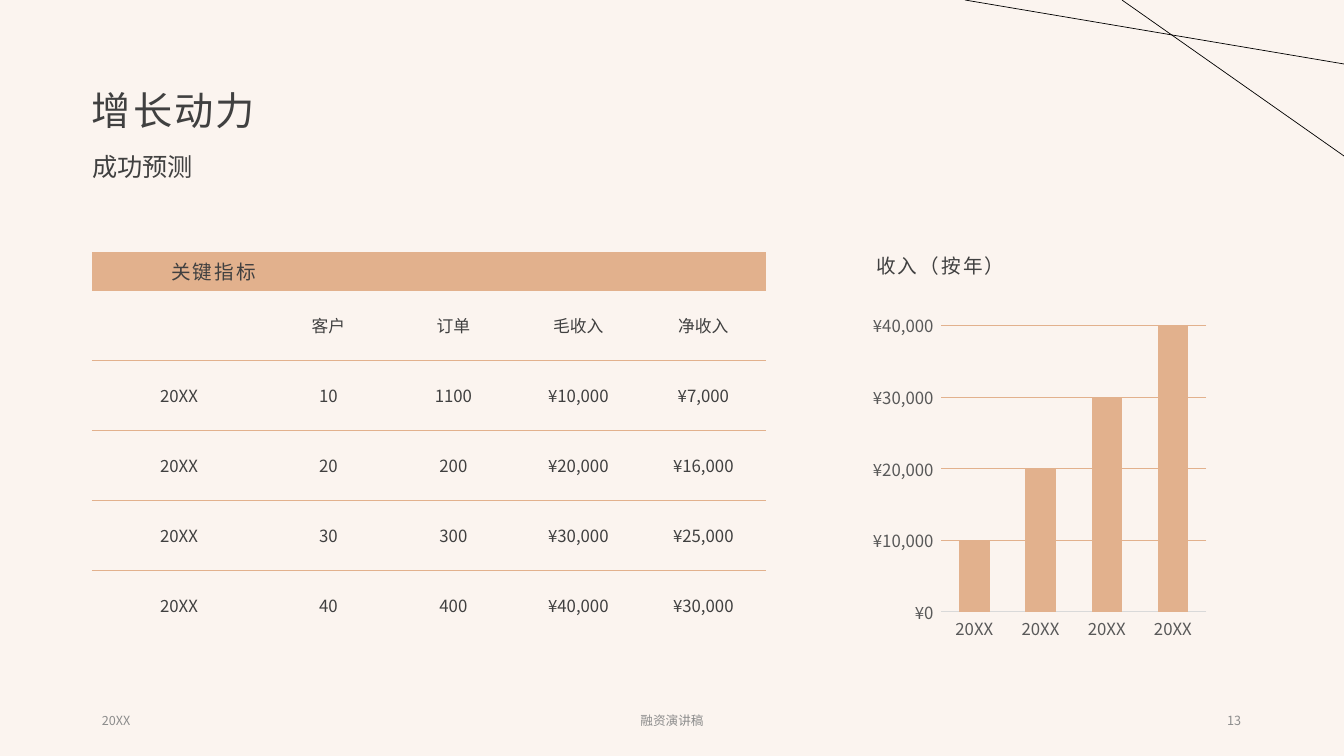
from dataclasses import dataclass

from lxml import etree
from pptx import Presentation
from pptx.chart.data import CategoryChartData
from pptx.dml.color import RGBColor
from pptx.enum.chart import XL_CHART_TYPE, XL_TICK_MARK
from pptx.enum.shapes import MSO_CONNECTOR
from pptx.enum.text import MSO_ANCHOR, MSO_AUTO_SIZE, PP_ALIGN
from pptx.oxml.ns import qn
from pptx.util import Emu, Pt

LEFT, CENTER, RIGHT = PP_ALIGN.LEFT, PP_ALIGN.CENTER, PP_ALIGN.RIGHT
TOP, MIDDLE = MSO_ANCHOR.TOP, MSO_ANCHOR.MIDDLE
NO_AUTOFIT = MSO_AUTO_SIZE.NONE
COLUMNS = XL_CHART_TYPE.COLUMN_CLUSTERED
NO_TICK = XL_TICK_MARK.NONE
STRAIGHT = MSO_CONNECTOR.STRAIGHT
PLAIN_TABLE_STYLE = "{2D5ABB26-0587-4C30-8999-92F81FD0307C}"


@dataclass(frozen=True)
class Theme:
    font: str = "Noto Sans CJK SC"
    background: str = "FBF4EF"
    accent: str = "E2B18D"
    text: str = "404040"
    axis_text: str = "595959"
    axis_line: str = "D9D9D9"
    muted: str = "8C8C8C"
    line: str = "000000"
    title: int = 28
    subtitle: int = 18
    heading: int = 14
    body: int = 12
    footer: int = 9
    spacing: float = 1.5


THEME = Theme()

# Content
TITLE = "增长动力"
SUBTITLE = "成功预测"
CHART_HEADING = "收入（按年）"
METRICS = [
    ["关键指标", "", "", "", ""],
    ["", "客户", "订单", "毛收入", "净收入"],
    ["20XX", "10", "1100", "¥10,000", "¥7,000"],
    ["20XX", "20", "200", "¥20,000", "¥16,000"],
    ["20XX", "30", "300", "¥30,000", "¥25,000"],
    ["20XX", "40", "400", "¥40,000", "¥30,000"],
]
YEARS = ["20XX"] * 4
REVENUE = [10000, 20000, 30000, 40000]
FOOTERS = [  # text, left, width, alignment
    ("20XX", 92, 302, LEFT),
    ("融资演讲稿", 445, 454, CENTER),
    ("13", 949, 302, RIGHT),
]
CORNER_LINES = [(1122, 0, 1344, 156), (965, 0, 1344, 64)]

# Layout in px
PAGE_WIDTH, PAGE_HEIGHT = 1344, 756
MARGIN, CONTENT_TOP = 92, 252
FIRST_COLUMN, OTHER_COLUMN = 174, 125
HEADER_ROW, DATA_ROW = 34, 70
CHART_LEFT, CHART_WIDTH = 866, 347
FOOTER_TOP, FOOTER_HEIGHT = 701, 40


def px(length):
    return Emu(round(length * 914400 / 100.8))


def color(value):
    return RGBColor.from_string(value)


def style_font(font, size, value):
    font.name, font.size, font.bold = THEME.font, Pt(size), False
    font.color.rgb = color(value)


def style_para(para, size, value, align=LEFT, spacing=0):
    para.alignment = align
    for span in para.runs:
        style_font(span.font, size, value)
        properties = span._r.get_or_add_rPr()
        properties.set("spc", str(round(spacing * 100)))
        etree.SubElement(properties, qn("a:ea")).set("typeface", THEME.font)


def place(shape, left, top, width, height):
    shape.left, shape.top = px(left), px(top)
    shape.width, shape.height = px(width), px(height)


def fill_placeholder(shape, text, bounds, size, anchor=TOP, before=10, spacing=0):
    place(shape, *bounds)
    frame = shape.text_frame
    frame.text = text
    frame.word_wrap, frame.auto_size = True, NO_AUTOFIT
    frame.vertical_anchor = anchor
    para = frame.paragraphs[0]
    para.line_spacing, para.space_before = 0.9, Pt(before)
    style_para(para, size, THEME.text, spacing=spacing)


def underline_cell(cell):
    border = etree.Element(qn("a:lnB"), w=str(Pt(1)))
    fill = etree.SubElement(border, qn("a:solidFill"))
    etree.SubElement(fill, qn("a:srgbClr")).set("val", THEME.accent)
    cell._tc.get_or_add_tcPr().insert(0, border)


def add_metrics(page):
    width = FIRST_COLUMN + OTHER_COLUMN * (len(METRICS[0]) - 1)
    height = HEADER_ROW + DATA_ROW * (len(METRICS) - 1)
    table = page.shapes.add_table(
        len(METRICS), len(METRICS[0]),
        px(MARGIN), px(CONTENT_TOP), px(width), px(height)).table
    table._tbl.tblPr.find(qn("a:tableStyleId")).text = PLAIN_TABLE_STYLE
    table.first_row = table.horz_banding = False
    for index, column in enumerate(table.columns):
        column.width = px(OTHER_COLUMN if index else FIRST_COLUMN)
    for index, values in enumerate(METRICS):
        table.rows[index].height = px(DATA_ROW if index else HEADER_ROW)
        for position, value in enumerate(values):
            cell = table.cell(index, position)
            cell.text = value
            cell.vertical_anchor = MIDDLE
            if not value:
                cell.margin_top = cell.margin_bottom = 0
            para = cell.text_frame.paragraphs[0]
            if index == 0:
                cell.fill.solid()
                cell.fill.fore_color.rgb = color(THEME.accent)
                style_para(para, THEME.heading, THEME.text, RIGHT, THEME.spacing)
            else:
                cell.fill.background()
                style_para(para, THEME.body, THEME.text, CENTER)
            if 0 < index < len(METRICS) - 1:
                underline_cell(cell)


def add_revenue_chart(page):
    data = CategoryChartData(number_format='"¥"#,##0')
    data.categories = YEARS
    data.add_series("Series 1", REVENUE)
    chart = page.shapes.add_chart(
        COLUMNS, px(CHART_LEFT), px(306), px(CHART_WIDTH), px(342), data).chart
    chart.has_title = chart.has_legend = False
    style_font(chart.font, THEME.body, THEME.axis_text)

    plot = chart.plots[0]
    plot.gap_width, plot.overlap, plot.vary_by_categories = 118, -3, False
    bars = plot.series[0].format.fill
    bars.solid()
    bars.fore_color.rgb = color(THEME.accent)

    for axis in (chart.category_axis, chart.value_axis):
        axis.major_tick_mark = axis.minor_tick_mark = NO_TICK
        style_font(axis.tick_labels.font, THEME.body, THEME.axis_text)
    base_line = chart.category_axis.format.line
    base_line.color.rgb, base_line.width = color(THEME.axis_line), Pt(0.75)

    values = chart.value_axis
    values.minimum_scale, values.maximum_scale, values.major_unit = 0, 40000, 10000
    values.format.line.fill.background()
    values.tick_labels.number_format = '"¥"#,##0_);\\("¥"#,##0\\)'
    values.tick_labels.number_format_is_linked = False
    grid = values.major_gridlines.format.line
    grid.color.rgb, grid.width = color(THEME.accent), Pt(0.75)


def main():
    deck = Presentation()
    deck.slide_width, deck.slide_height = px(PAGE_WIDTH), px(PAGE_HEIGHT)
    page = deck.slides.add_slide(deck.slide_layouts.get_by_name("Comparison"))
    page.background.fill.solid()
    page.background.fill.fore_color.rgb = color(THEME.background)

    # Title and headings
    title, subtitle, table_slot, heading, chart_slot = page.placeholders
    for slot in (table_slot, chart_slot):
        slot._element.getparent().remove(slot._element)
    fill_placeholder(title, TITLE, (MARGIN, 40, 1159, 146), THEME.title,
                     MIDDLE, 0, THEME.spacing)
    title.text_frame.margin_left = 0
    fill_placeholder(subtitle, SUBTITLE, (82, 150, 746, 54), THEME.subtitle)
    fill_placeholder(heading, CHART_HEADING, (CHART_LEFT, CONTENT_TOP, CHART_WIDTH, 34),
                     THEME.heading, spacing=THEME.spacing)

    # Table and chart
    add_metrics(page)
    add_revenue_chart(page)

    # Footer
    for text, left, width, align in FOOTERS:
        box = page.shapes.add_textbox(
            px(left), px(FOOTER_TOP), px(width), px(FOOTER_HEIGHT))
        frame = box.text_frame
        frame.text, frame.word_wrap, frame.vertical_anchor = text, True, MIDDLE
        style_para(frame.paragraphs[0], THEME.footer, THEME.muted, align)

    # Corner lines
    for ends in CORNER_LINES:
        line = page.shapes.add_connector(STRAIGHT, *map(px, ends))
        line.line.color.rgb, line.line.width = color(THEME.line), Pt(0.5)
        etree.SubElement(line._element.spPr, qn("a:effectLst"))

    deck.save("out.pptx")


if __name__ == "__main__":
    main()
